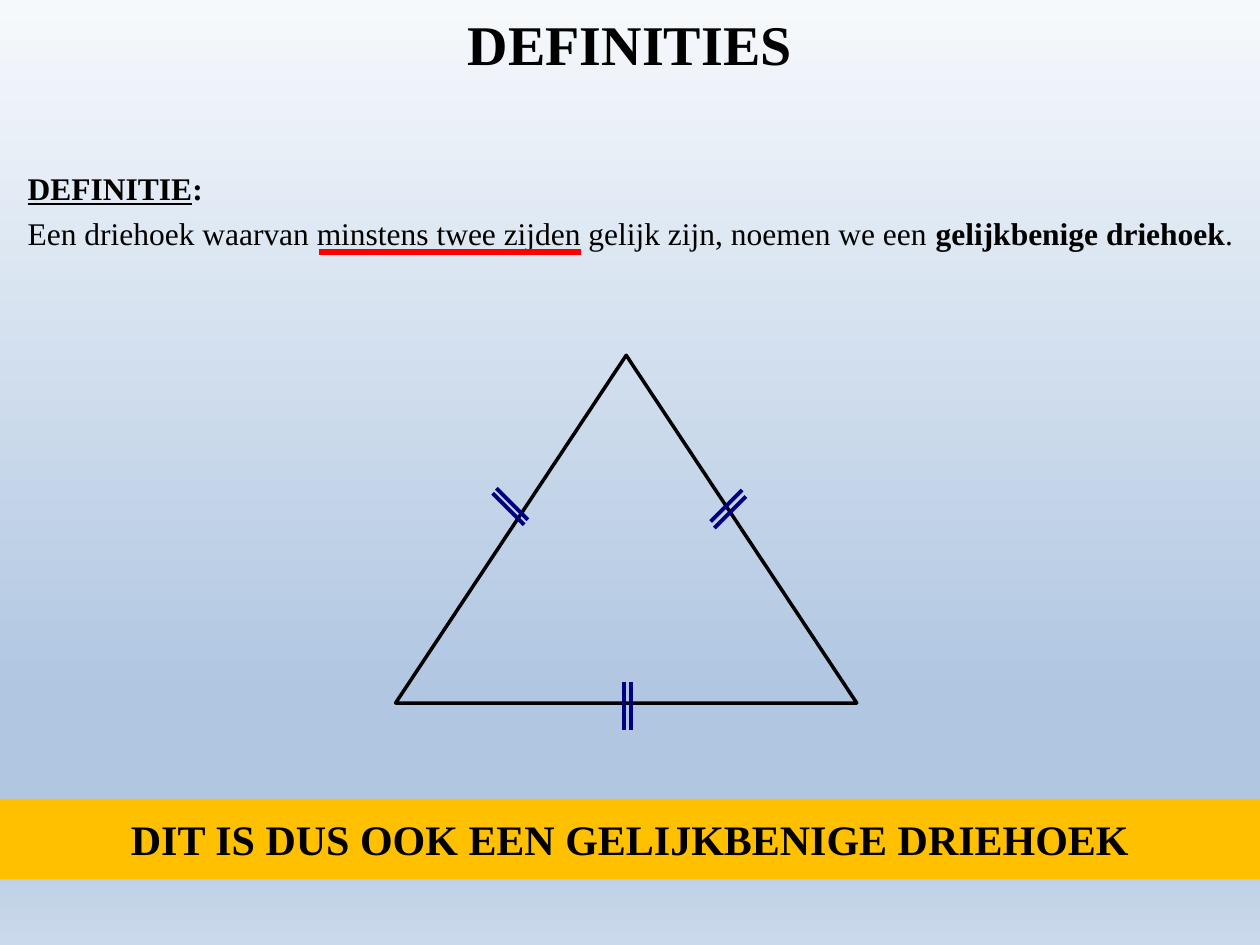
from lxml import etree
from pptx import Presentation
from pptx.dml.color import RGBColor
from pptx.enum.shapes import MSO_CONNECTOR, MSO_SHAPE
from pptx.enum.text import MSO_ANCHOR, MSO_AUTO_SIZE, PP_ALIGN
from pptx.oxml.ns import qn
from pptx.util import Inches, Pt

FONT = "Times New Roman"
COLORS = {"text": "000000", "outline": "000000", "tick": "000080",
          "underline": "FF0000", "banner": "FFC000"}
BACKGROUND = [(0, "F6F9FC"), (74, "B0C6E1"), (83, "B0C6E1"), (100, "CAD9EB")]


def rgb(name):
    return RGBColor.from_string(COLORS[name])


def place(sp, left, top, width, height):
    sp.left, sp.top = Inches(left), Inches(top)
    sp.width, sp.height = Inches(width), Inches(height)


def format_run(r, size, bold=True, underline=False):
    r.font.name, r.font.size = FONT, Pt(size)
    r.font.bold, r.font.underline = bold, underline
    r.font.color.rgb = rgb("text")


def set_background(s):
    fill = s.background.fill
    fill.gradient()
    fill.gradient_angle = 270
    stops = s.background._cSld.find(".//" + qn("a:gsLst"))
    for stop in list(stops):
        stops.remove(stop)
    for percent, color in BACKGROUND:
        stop = etree.SubElement(stops, qn("a:gs"), pos=str(percent * 1000))
        etree.SubElement(stop, qn("a:srgbClr"), val=color)


def add_line(shapes, x1, y1, x2, y2, color, width):
    line = shapes.add_connector(MSO_CONNECTOR.STRAIGHT, Inches(x1), Inches(y1),
                                Inches(x2), Inches(y2))
    line.line.color.rgb = rgb(color)
    line.line.width = Pt(width)
    etree.SubElement(line._element.spPr, qn("a:effectLst"))


def centre_text(sp, text, size):
    tf = sp.text_frame
    tf.text = text
    tf.word_wrap = True
    tf.auto_size = MSO_AUTO_SIZE.NONE
    tf.vertical_anchor = MSO_ANCHOR.MIDDLE
    p = tf.paragraphs[0]
    p.alignment = PP_ALIGN.CENTER
    format_run(p.runs[0], size)


def add_title(s, left, top, width, height):
    sp = s.shapes.title
    place(sp, left, top, width, height)
    centre_text(sp, "DEFINITIES", 32)


def add_definition(s, left, top, width, height):
    sp = s.placeholders[1]
    place(sp, left, top, width, height)
    tf = sp.text_frame
    tf.word_wrap = True
    tf.auto_size = MSO_AUTO_SIZE.NONE
    tf.margin_top = Inches(0.08)
    heading = [("DEFINITIE", True, True), (":", True, False)]
    sentence = [
        ("Een driehoek waarvan minstens twee zijden gelijk zijn, noemen we een ", False, False),
        ("gelijkbenige driehoek", True, False),
        (".", False, False),
    ]
    for p, runs, space in ((tf.paragraphs[0], heading, 0),
                           (tf.add_paragraph(), sentence, 4)):
        p.space_before = Pt(space)
        pPr = p._p.get_or_add_pPr()
        pPr.set("marL", "0")
        pPr.set("indent", "0")
        etree.SubElement(pPr, qn("a:buNone"))
        for text, bold, underline in runs:
            r = p.add_run()
            r.text = text
            format_run(r, 18, bold, underline)
    add_line(s.shapes, left + 2.41, top + 0.74, left + 4.49, top + 0.74, "underline", 3)


def add_tick(s, x, y, stroke, gap):
    """Two parallel strokes, centred on (x, y) and separated by the gap vector."""
    shapes = s.shapes.add_group_shape().shapes
    dx, dy = stroke[0] / 2, stroke[1] / 2
    for side in (-0.5, 0.5):
        cx, cy = x + side * gap[0], y + side * gap[1]
        add_line(shapes, cx - dx, cy - dy, cx + dx, cy + dy, "tick", 2.25)


def add_triangle(s, left, top, width, height):
    sp = s.shapes.add_shape(MSO_SHAPE.ISOSCELES_TRIANGLE, 0, 0, 0, 0)
    place(sp, left, top, width, height)
    sp.shadow.inherit = False
    sp.fill.background()
    sp.line.color.rgb = rgb("outline")
    sp.line.width = Pt(2)
    ticks = [(2.64, 1.22, (-0.25, 0.25), (0.03, 0.05)),
             (0.91, 1.2, (0.25, 0.25), (0.03, -0.04)),
             (1.84, 2.78, (0, 0.38), (0.06, 0))]
    for x, y, stroke, gap in ticks:
        add_tick(s, left + x, top + y, stroke, gap)


def add_banner(s, left, top, width, height):
    sp = s.shapes.add_shape(MSO_SHAPE.RECTANGLE, 0, 0, 0, 0)
    place(sp, left, top, width, height)
    sp.shadow.inherit = False
    sp.fill.solid()
    sp.fill.fore_color.rgb = rgb("banner")
    sp.line.fill.background()
    centre_text(sp, "DIT IS DUS OOK EEN GELIJKBENIGE DRIEHOEK", 24)


def main():
    prs = Presentation()
    prs.slide_width, prs.slide_height = Inches(10), Inches(7.5)
    s = prs.slides.add_slide(prs.slide_layouts[1])
    set_background(s)
    add_title(s, 0, 0, 10, 0.68)
    add_definition(s, 0.12, 1.26, 9.88, 1.06)
    add_triangle(s, 3.14, 2.82, 3.66, 2.76)
    add_banner(s, 0, 6.34, 10, 0.64)
    prs.save("out.pptx")


if __name__ == "__main__":
    main()
